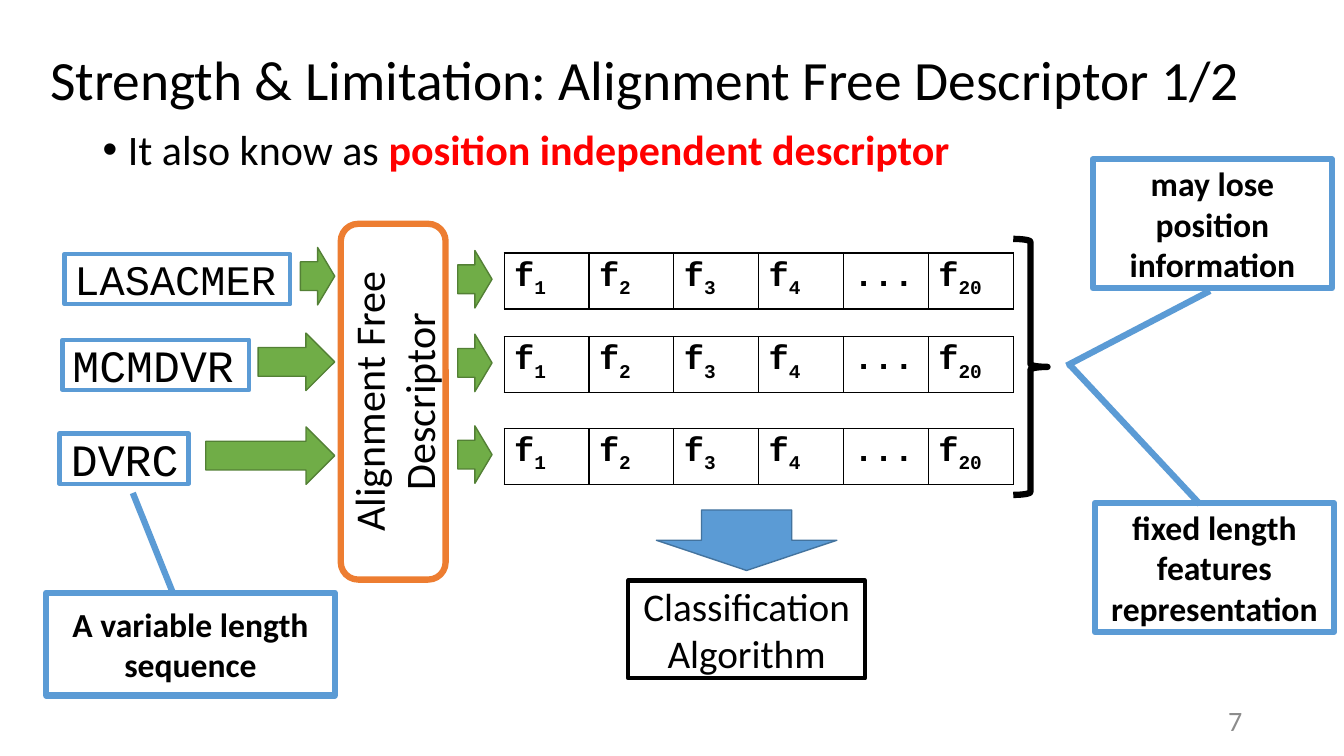
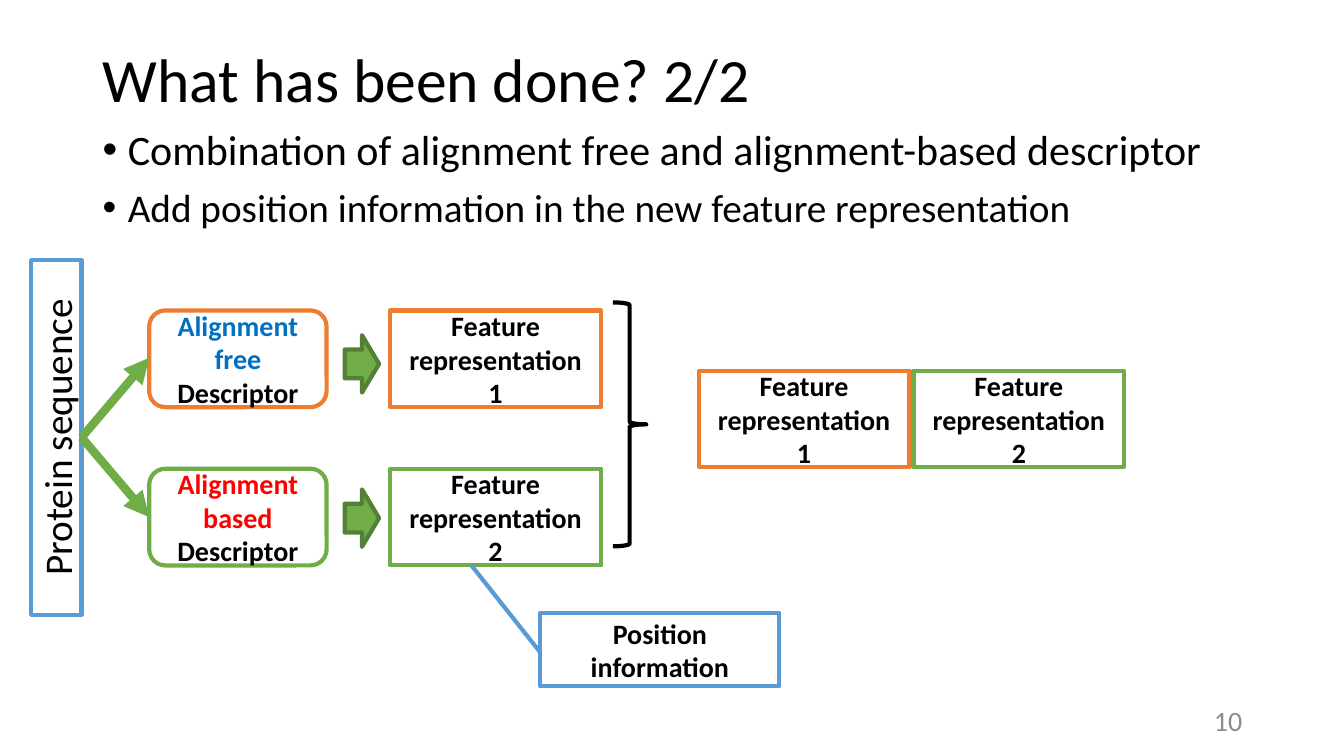
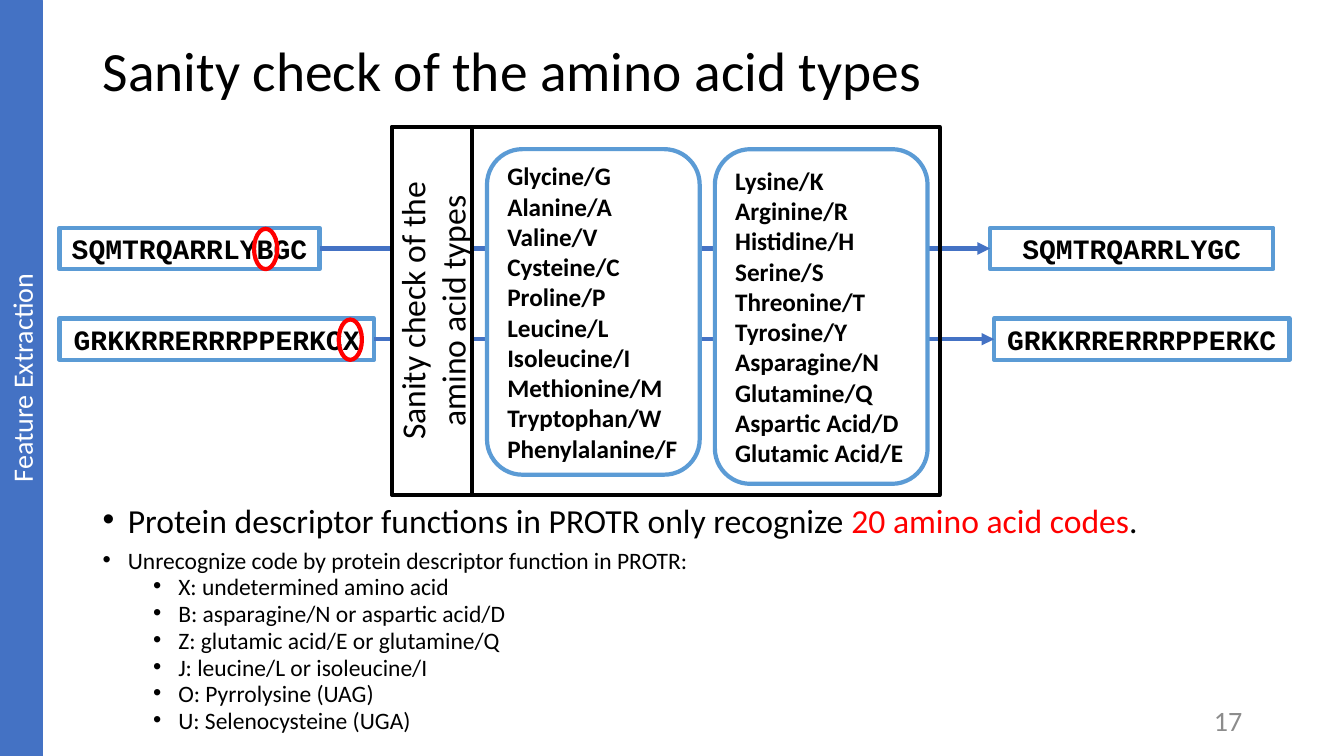
from dataclasses import dataclass

from lxml.etree import SubElement
from pptx import Presentation
from pptx.dml.color import RGBColor
from pptx.enum.shapes import MSO_CONNECTOR, MSO_SHAPE
from pptx.enum.text import MSO_ANCHOR, PP_ALIGN
from pptx.oxml.ns import qn
from pptx.util import Inches, Pt

C = {
    "white": "FFFFFF", "black": "000000", "grey": "8C8C8C", "red": "FF0000",
    "sky": "5B9BD5", "sky_edge": "43739E", "blue": "4472C4", "azure": "0070C0",
    "green": "70AD47", "green_edge": "538035", "orange": "ED7D31",
}
SANS, MONO = "Calibri", "Courier New"
COLS, ROWS = 13.33, 7.5
LEFT, CENTER, RIGHT = PP_ALIGN.LEFT, PP_ALIGN.CENTER, PP_ALIGN.RIGHT
MARGIN, CONTENT_W = 0.92, 11.5


@dataclass
class Box:
    """A region in one-inch grid columns and rows."""
    x: float
    y: float
    w: float
    h: float

    def at(self, dx, dy, w, h):
        """Return a box placed from this box's top left corner."""
        return Box(self.x + dx, self.y + dy, w, h)

    def emu(self):
        """Return the four lengths for python-pptx."""
        return [Inches(v) for v in (self.x, self.y, self.w, self.h)]


def rgb(name):
    """Return a palette colour."""
    return RGBColor.from_string(C[name])


def write(tf, paras, size=20, font=SANS, color="black", bold=False, align=LEFT,
          spacing=None, before=0, bullet=False, levels=None):
    """Fill a text frame; a paragraph is a string or a list of (text, format) runs."""
    for i, para in enumerate([paras] if isinstance(paras, str) else paras):
        p = tf.paragraphs[0] if i == 0 else tf.add_paragraph()
        level = levels[i] if levels else 0
        if bullet:
            pPr = p._p.get_or_add_pPr()
            pPr.set("marL", str(Inches(0.25 + level * 0.5)))
            pPr.set("indent", str(Inches(-0.25)))
            SubElement(pPr, qn("a:buFont"), typeface="Arial")
            SubElement(pPr, qn("a:buChar"), char="•")
            p.level = level
        p.alignment = align
        if spacing:
            p.line_spacing = spacing
        if i and before:
            p.space_before = Pt(before / (1 + level))
        for text, fmt in [(para, {})] if isinstance(para, str) else para:
            r = p.add_run()
            r.text = text
            r.font.name = font
            r.font.size = Pt(fmt.get("size", size))
            r.font.bold = fmt.get("bold", bold)
            r.font.color.rgb = rgb(fmt.get("color", color))
            if fmt.get("sub"):
                r._r.get_or_add_rPr().set("baseline", "-25000")


def label(s, box, paras, anchor=MSO_ANCHOR.MIDDLE, **fmt):
    """Add a wrapped text box."""
    tf = s.shapes.add_textbox(*box.emu()).text_frame
    tf.word_wrap = True
    tf.vertical_anchor = anchor
    write(tf, paras, **fmt)


def shape(s, kind, box, line, width=3, fill="white", text=None, turned=False,
          adj=(), anchor=MSO_ANCHOR.MIDDLE, **fmt):
    """Add a preset shape; a turned one is rotated to fill the box sideways."""
    if turned:
        box = Box(box.x + (box.w - box.h) / 2, box.y + (box.h - box.w) / 2, box.h, box.w)
    sp = s.shapes.add_shape(kind, *box.emu())
    sp.shadow.inherit = False
    if turned:
        sp.rotation = 270
    for i, value in enumerate(adj):
        sp.adjustments[i] = value
    if fill:
        sp.fill.solid()
        sp.fill.fore_color.rgb = rgb(fill)
    else:
        sp.fill.background()
    sp.line.color.rgb = rgb(line)
    sp.line.width = Pt(width)
    if text:
        sp.text_frame.word_wrap = True
        sp.text_frame.vertical_anchor = anchor
        write(sp.text_frame, text, **{"align": CENTER, **fmt})


def arrow_line(s, x1, y1, x2, y2, color, width):
    """Add a straight line with an arrowhead at its end."""
    cn = s.shapes.add_connector(MSO_CONNECTOR.STRAIGHT, *[Inches(v) for v in (x1, y1, x2, y2)])
    cn.line.color.rgb = rgb(color)
    cn.line.width = Pt(width)
    SubElement(cn.line._get_or_add_ln(), qn("a:tailEnd"), type="triangle")
    SubElement(cn._element.spPr, qn("a:effectLst"))


def block_arrow(s, right, middle, w=0.34, width=1):
    """Add a green block arrow ending at a point."""
    shape(s, MSO_SHAPE.DOWN_ARROW, Box(right - w, middle - 0.285, w, 0.57),
          "green_edge", width, "green", turned=True)


def callout(s, box, text, adj, width=4.5, size=24):
    """Add a framed note with a leader line."""
    shape(s, MSO_SHAPE.LINE_CALLOUT_1, box, "sky", width, text=text, adj=adj,
          size=size, bold=True)


def brace(s, box, width):
    """Add a right brace."""
    shape(s, MSO_SHAPE.RIGHT_BRACE, box, "black", width, fill=None)


def page(prs, title, number, size=39.6, x=MARGIN, h=0.83):
    """Add a blank slide with its title and number."""
    s = prs.slides.add_slide(prs.slide_layouts[6])
    label(s, Box(x, 0.4, MARGIN + CONTENT_W - x, h), title, size=size, spacing=0.9)
    label(s, Box(9.42, 6.95, 3, 0.4), str(number), color="grey", align=RIGHT)
    return s


def bullets(s, box, paras, size, spacing=0.9, levels=None):
    """Add the bulleted body text."""
    label(s, box, paras, MSO_ANCHOR.TOP, size=size, spacing=spacing, before=10,
          bullet=True, levels=levels)


def feature_table(s, box):
    """Add a one-row table of numbered features."""
    names = ["1", "2", "3", "4", None, "20"]
    table = s.shapes.add_table(1, len(names), *box.emu()).table
    table.first_row = table.horz_banding = False
    for i, name in enumerate(names):
        table.columns[i].width = Inches(box.w / len(names))
        cell = table.cell(0, i)
        tcPr = cell._tc.get_or_add_tcPr()
        for side in ("lnL", "lnR", "lnT", "lnB"):
            ln = SubElement(tcPr, qn(f"a:{side}"), w=str(Pt(1)))
            SubElement(SubElement(ln, qn("a:solidFill")), qn("a:srgbClr"), val=C["black"])
        cell.fill.solid()
        cell.fill.fore_color.rgb = rgb("white")
        runs = [("f", {}), (name, {"sub": True})] if name else [("...", {})]
        write(cell.text_frame, [runs], size=24, font=MONO, bold=True)


def sequence_input(s, box, text, size, arrow_w, align):
    """Add a framed sequence and the arrow into the descriptor."""
    shape(s, MSO_SHAPE.RECTANGLE, box, "sky", text=text, size=size, font=MONO, align=align)
    block_arrow(s, 3.32, box.y + box.h / 2 - 0.03, arrow_w)


def feature_output(s, box):
    """Add the arrow out of the descriptor and its feature row."""
    block_arrow(s, box.x - 0.12, box.y + 0.26)
    feature_table(s, box)


def strength_slide(prs):
    """Build the alignment free descriptor slide."""
    s = page(prs, "Strength & Limitation: Alignment Free Descriptor 1/2", 7, x=0.4)
    bullets(s, Box(MARGIN, 1.23, CONTENT_W, 5.53), [[
        ("It also know as ", {}),
        ("position independent descriptor", {"color": "red", "bold": True})]], 30)
    shape(s, MSO_SHAPE.ROUNDED_RECTANGLE, Box(3.38, 2.22, 1.04, 3.53), "orange", 4.5,
          text="Alignment Free Descriptor", turned=True, size=30)
    for x, y, w, text, size, arrow_w, align, table_y in [
            (0.64, 2.52, 2.24, "LASACMER", 30, 0.34, LEFT, 2.51),
            (0.62, 3.37, 1.85, "MCMDVR", 32, 0.76, LEFT, 3.34),
            (0.59, 4.3, 1.28, "DVRC", 32, 1.28, RIGHT, 4.25)]:
        sequence_input(s, Box(x, y, w, 0.5), text, size, arrow_w, align)
        feature_output(s, Box(5, table_y, 5.05, 0.5))
    shape(s, MSO_SHAPE.DOWN_ARROW, Box(6.51, 5.06, 1.79, 0.6), "sky_edge", 1, "sky")
    shape(s, MSO_SHAPE.RECTANGLE, Box(6.23, 5.76, 2.35, 0.97), "black",
          text="Classification Algorithm", size=28)
    callout(s, Box(0.46, 5.88, 2.86, 1.02), "A variable length sequence",
            (0.01, 0.44, -0.97, 0.3))
    callout(s, Box(10.84, 1.58, 2.37, 1.28), "may lose position information",
            (1.02, 0.49, 1.6, -0.11))
    callout(s, Box(10.86, 4.99, 2.37, 1.28), "fixed length features representation",
            (0.01, 0.44, -1.08, -0.11))
    brace(s, Box(10.05, 2.37, 0.34, 2.54), 4.5)


def feature_box(s, box, number, line):
    """Add a numbered feature representation."""
    shape(s, MSO_SHAPE.RECTANGLE, box, line, text=f"Feature representation {number}", bold=True)


def descriptor_lane(s, box, number, kind, color, line):
    """Add a descriptor, its arrow and its feature representation."""
    shape(s, MSO_SHAPE.ROUNDED_RECTANGLE, box.at(0, 0, 1.76, box.h), line, bold=True,
          text=[[(f"Alignment {kind} ", {"color": color}), ("Descriptor", {})]])
    block_arrow(s, box.x + 2.28, box.y + 0.53 - 0.04 * (number - 1), width=3)
    feature_box(s, box.at(2.39, 0, 2.09, box.h), number, line)


def combination_slide(prs):
    """Build the combined descriptors slide."""
    s = page(prs, "What has been done? 2/2", 10, size=44)
    bullets(s, Box(MARGIN, 1.23, CONTENT_W, 5.53), [
        "Combination of alignment free and alignment-based descriptor",
        [("Add position information in the new feature representation", {"size": 28})]], 30)
    shape(s, MSO_SHAPE.RECTANGLE, Box(0.31, 2.58, 0.5, 3.52), "sky",
          text="Protein sequence", turned=True, size=28)
    lanes = [("free", "azure", "orange"), ("based", "red", "green")]
    for i, (kind, color, line) in enumerate(lanes):
        lane = Box(1.48, 3.08 + i * 1.57, 4.48, 0.96)
        descriptor_lane(s, lane, i + 1, kind, color, line)
        feature_box(s, Box(6.93 + i * 2.13, 3.68, 2.09, 0.95), i + 1, line)
    brace(s, Box(6.08, 3, 0.33, 2.42), 3)
    callout(s, Box(5.36, 6.08, 2.37, 0.73), "Position information",
            (0.54, 0, -0.65, -0.29), 3, 20)
    for y in (3.55, 5.13):
        arrow_line(s, 0.81, 4.34, 1.48, y, "green", 6)


def sequence_check(s, box, before, before_w, after, after_w, mark_x):
    """Add a sequence, its checked form and the arrow between them."""
    left = box.at(0, 0, before_w, box.h)
    right = box.at(box.w, 0, after_w, box.h)
    for part, text in ((left, before), (right, after)):
        shape(s, MSO_SHAPE.RECTANGLE, part, "sky", text=text, font=MONO, bold=True)
    shape(s, MSO_SHAPE.OVAL, box.at(mark_x, 0.01, 0.23, 0.4), "red", fill=None)
    middle = box.y + box.h / 2
    arrow_line(s, left.x + left.w, middle, right.x, middle, "blue", 3)


def amino_panel(s, box):
    """Add the framed check with its two lists of amino acids."""
    lists = [
        ["Glycine/G", "Alanine/A", "Valine/V", "Cysteine/C", "Proline/P", "Leucine/L",
         "Isoleucine/I", "Methionine/M", "Tryptophan/W", "Phenylalanine/F"],
        ["Lysine/K", "Arginine/R", "Histidine/H", "Serine/S", "Threonine/T", "Tyrosine/Y",
         "Asparagine/N", "Glutamine/Q", "Aspartic Acid/D", "Glutamic Acid/E"],
    ]
    for i, names in enumerate(lists):
        shape(s, MSO_SHAPE.ROUNDED_RECTANGLE,
              box.at(0.94 + i * 2.26, 0.22, 2.11, 3.23 + i * 0.09), "sky",
              text=names, size=18, bold=True, align=LEFT)
    shape(s, MSO_SHAPE.RECTANGLE, box, "black", fill=None)
    shape(s, MSO_SHAPE.RECTANGLE, box.at(0, 0, 0.79, box.h), "black", turned=True,
          text="Sanity check of the amino acid types", size=24)


def sanity_slide(prs):
    """Build the amino acid check slide."""
    s = page(prs, "Sanity check of the amino acid types", 17, h=0.66)
    codes = ["X: undetermined amino acid", "B: asparagine/N or aspartic acid/D",
             "Z: glutamic acid/E or glutamine/Q", "J: leucine/L or isoleucine/I",
             "O: Pyrrolysine (UAG)", "U: Selenocysteine (UGA)"]
    big = {"size": 24}
    bullets(s, Box(MARGIN, 5.02, CONTENT_W, 2.48), [
        [("Protein descriptor functions in PROTR only recognize ", big),
         ("20 amino acid codes", {**big, "color": "red"}), (".", big)],
        "Unrecognize code by protein descriptor function in PROTR:", *codes],
        16.8, 0.7, [0, 0] + [1] * len(codes))
    shape(s, MSO_SHAPE.RECTANGLE, Box(0, 0, 0.42, ROWS), "blue", 0.75, "blue",
          text="Feature Extraction", turned=True, anchor=MSO_ANCHOR.TOP, color="white")
    sequence_check(s, Box(0.59, 2.26, 9.23, 0.41), "SQMTRQARRLYBGC", 2.58,
                   "SQMTRQARRLYGC", 2.81, 1.93)
    sequence_check(s, Box(0.59, 3.16, 9.27, 0.41), "GRKKRRERRRPPERKCX", 3.12,
                   "GRKKRRERRRPPERKC", 2.93, 2.77)
    amino_panel(s, Box(3.89, 1.26, 5.43, 3.65))


def main():
    """Build and save the deck."""
    prs = Presentation()
    prs.slide_width, prs.slide_height = Inches(COLS), Inches(ROWS)
    for build in (strength_slide, combination_slide, sanity_slide):
        build(prs)
    prs.save("out.pptx")


if __name__ == "__main__":
    main()
